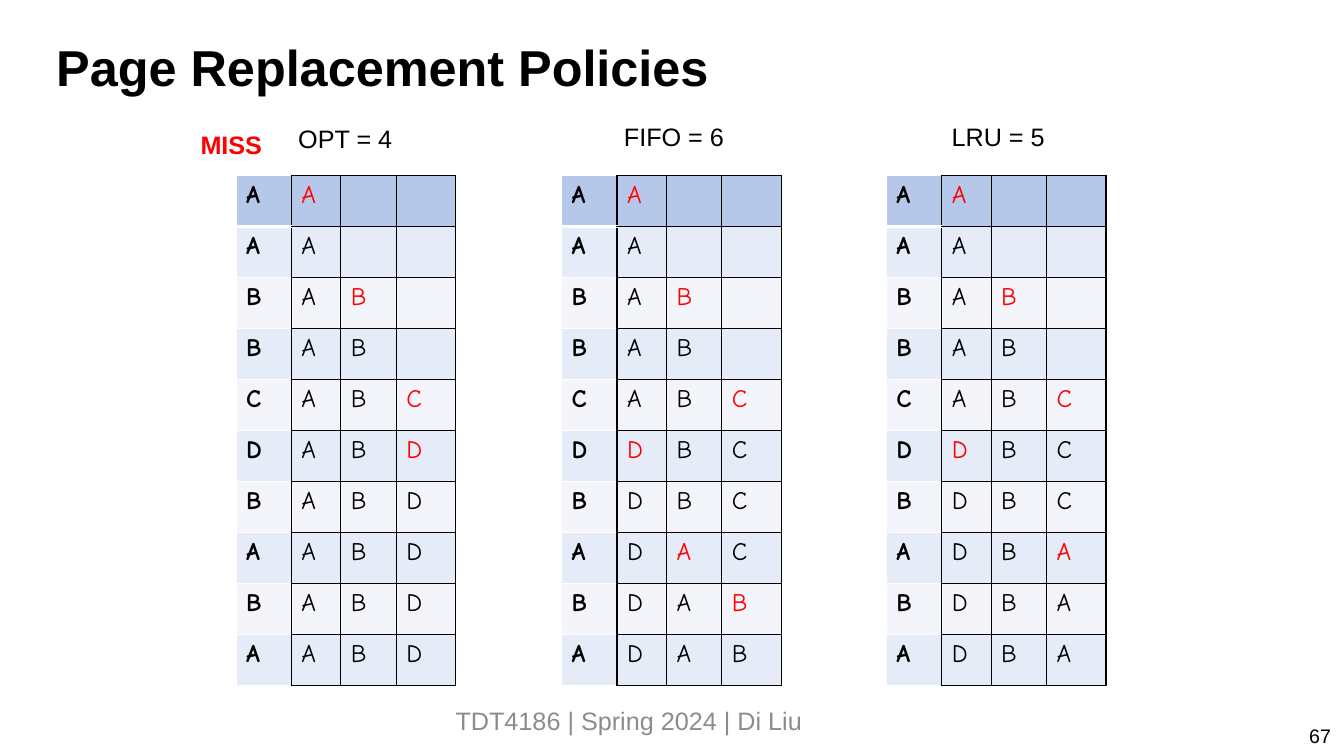
from lxml import etree
from pptx import Presentation
from pptx import util as u
from pptx.dml.color import RGBColor
from pptx.enum import text
from pptx.oxml import ns

BLACK = RGBColor(0, 0, 0)
WHITE = RGBColor(255, 255, 255)
RED = RGBColor(255, 0, 0)
GREY = RGBColor(0x8C, 0x8C, 0x8C)
HEADER_BLUE = RGBColor(0xB6, 0xC8, 0xE9)
BANDS = (RGBColor(0xF3, 0xF5, 0xFB), RGBColor(0xE5, 0xEB, 0xF7))

REQUESTS = "AABBCDBABA"
COLUMN_WIDTHS = (0.55, 0.49, 0.55, 0.59)
ROW_HEIGHT = 0.506
TABLE_TOP = 1.74
POLICIES = (
    ("OPT = 4", (2.86, 1.17, 1.14, 0.4), 2.34,
     "A A AB AB ABC ABD ABD ABD ABD ABD"),
    ("FIFO = 6", (6.09, 1.15, 1.2, 0.4), 5.57,
     "A A AB AB ABC DBC DBC DAC DAB DAB"),
    ("LRU = 5", (9.34, 1.15, 1.13, 0.4), 8.79,
     "A A AB AB ABC DBC DBC DBA DBA DBA"),
)


class PolicySlide:
    text_font = "Arial"
    table_font = "Comic Neue"

    def __init__(self, deck):
        self.page = deck.slides.add_slide(deck.slide_layouts[6])

    def add_span(self, para, words, color=BLACK, **changes):
        span = para.add_run()
        span.text = words
        style = {"name": self.text_font, "size": u.Pt(18), "bold": False, **changes}
        for key, value in style.items():
            setattr(span.font, key, value)
        span.font.color.rgb = color

    def label(self, words, place, color=BLACK, wrap=True,
              align=text.PP_ALIGN.LEFT, **changes):
        box = self.page.shapes.add_textbox(*map(u.Inches, place))
        frame = box.text_frame
        layout = {"word_wrap": wrap, "vertical_anchor": text.MSO_ANCHOR.MIDDLE}
        for key, value in layout.items():
            setattr(frame, key, value)
        para = frame.paragraphs[0]
        para.alignment = align
        self.add_span(para, words, color, **changes)

    def borders(self, cell, sides):
        properties = cell._tc.get_or_add_tcPr()
        for side in "LRTB":
            color, width = sides.get(side, (BLACK, 1))
            line = etree.SubElement(properties, ns.qn(f"a:ln{side}"), w=str(u.Pt(width)))
            fill = etree.SubElement(line, ns.qn("a:solidFill"))
            etree.SubElement(fill, ns.qn("a:srgbClr"), val=str(color))

    def frames_table(self, left, states):
        place = (left, TABLE_TOP, sum(COLUMN_WIDTHS), ROW_HEIGHT * len(REQUESTS))
        table = self.page.shapes.add_table(
            len(REQUESTS), len(COLUMN_WIDTHS), *map(u.Inches, place)).table
        table.first_row = table.horz_banding = False
        for column, width in zip(table.columns, COLUMN_WIDTHS):
            column.width = u.Inches(width)
        previous = " " * 3
        for index, (request, state) in enumerate(zip(REQUESTS, states.split())):
            table.rows[index].height = u.Inches(ROW_HEIGHT)
            state = state.ljust(3)
            for position, letter in enumerate(request + state):
                cell = table.cell(index, position)
                request_cell = position == 0
                sides = {}
                if request_cell:
                    sides = {"L": (WHITE, 1), "T": (WHITE, 1),
                             "B": (WHITE, 1 if index else 3)}
                self.borders(cell, sides)
                cell.fill.solid()
                cell.fill.fore_color.rgb = BANDS[index % 2] if index else HEADER_BLUE
                if letter != " ":
                    miss = not request_cell and letter != previous[position - 1]
                    self.add_span(cell.text_frame.paragraphs[0], letter,
                                  RED if miss else BLACK,
                                  name=self.table_font, bold=request_cell)
            previous = state


def main():
    deck = Presentation()
    deck.slide_width, deck.slide_height = u.Inches(13.33), u.Inches(7.5)
    slide = PolicySlide(deck)
    slide.label("Page Replacement Policies", (0.46, 0.3, 12.4, 0.71),
                size=u.Pt(36), bold=True)
    for title, place, left, states in POLICIES:
        slide.frames_table(left, states)
        slide.label(title, place, wrap=False)
    slide.label("MISS", (1.89, 1.23, 0.82, 0.4), RED, wrap=False, bold=True)
    slide.label("TDT4186 | Spring 2024 | Di Liu", (4.42, 6.95, 4.5, 0.4), GREY)
    slide.label("67", (12.68, 7.1, 0.62, 0.4), align=text.PP_ALIGN.RIGHT, size=u.Pt(14))
    deck.save("out.pptx")


if __name__ == "__main__":
    main()
